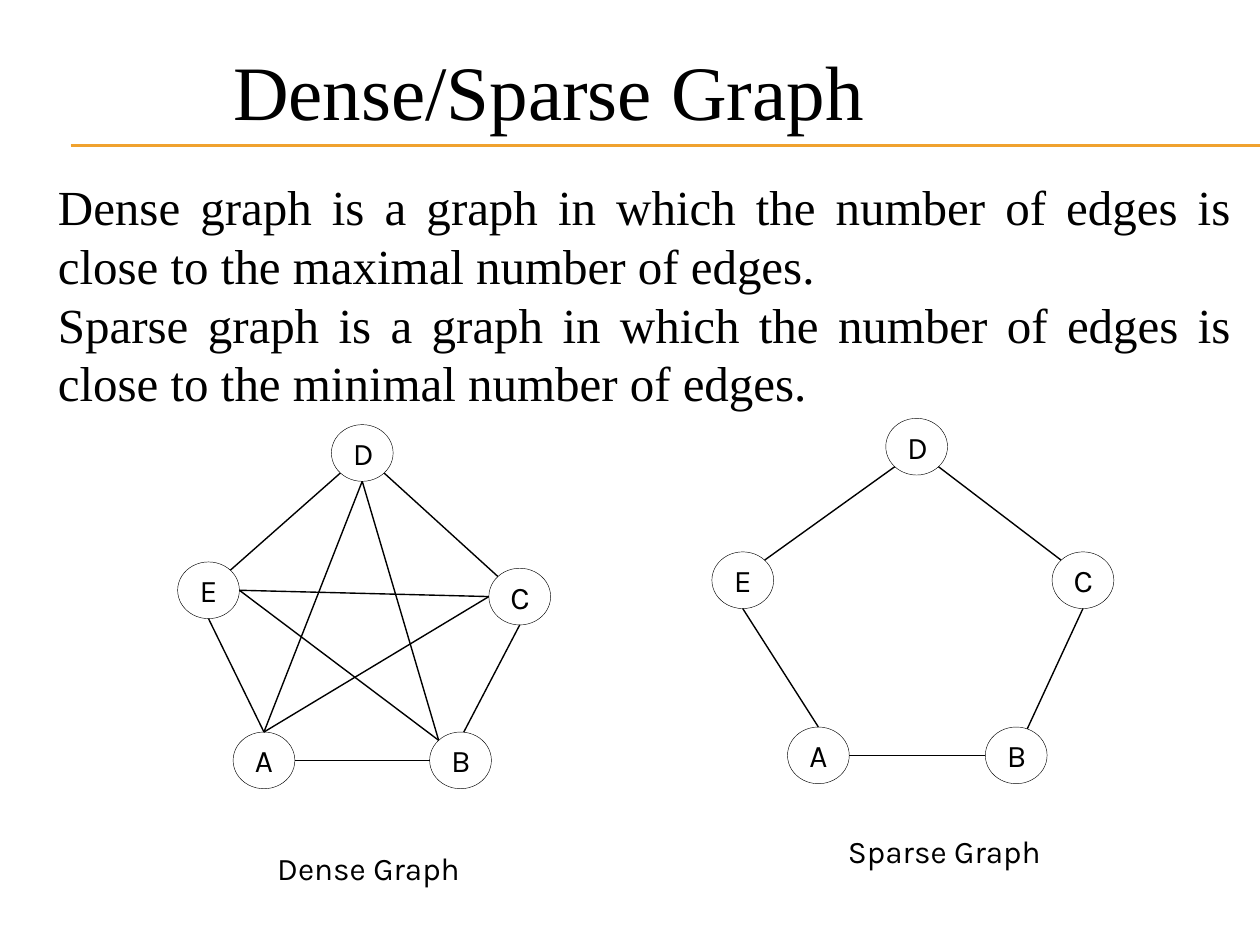
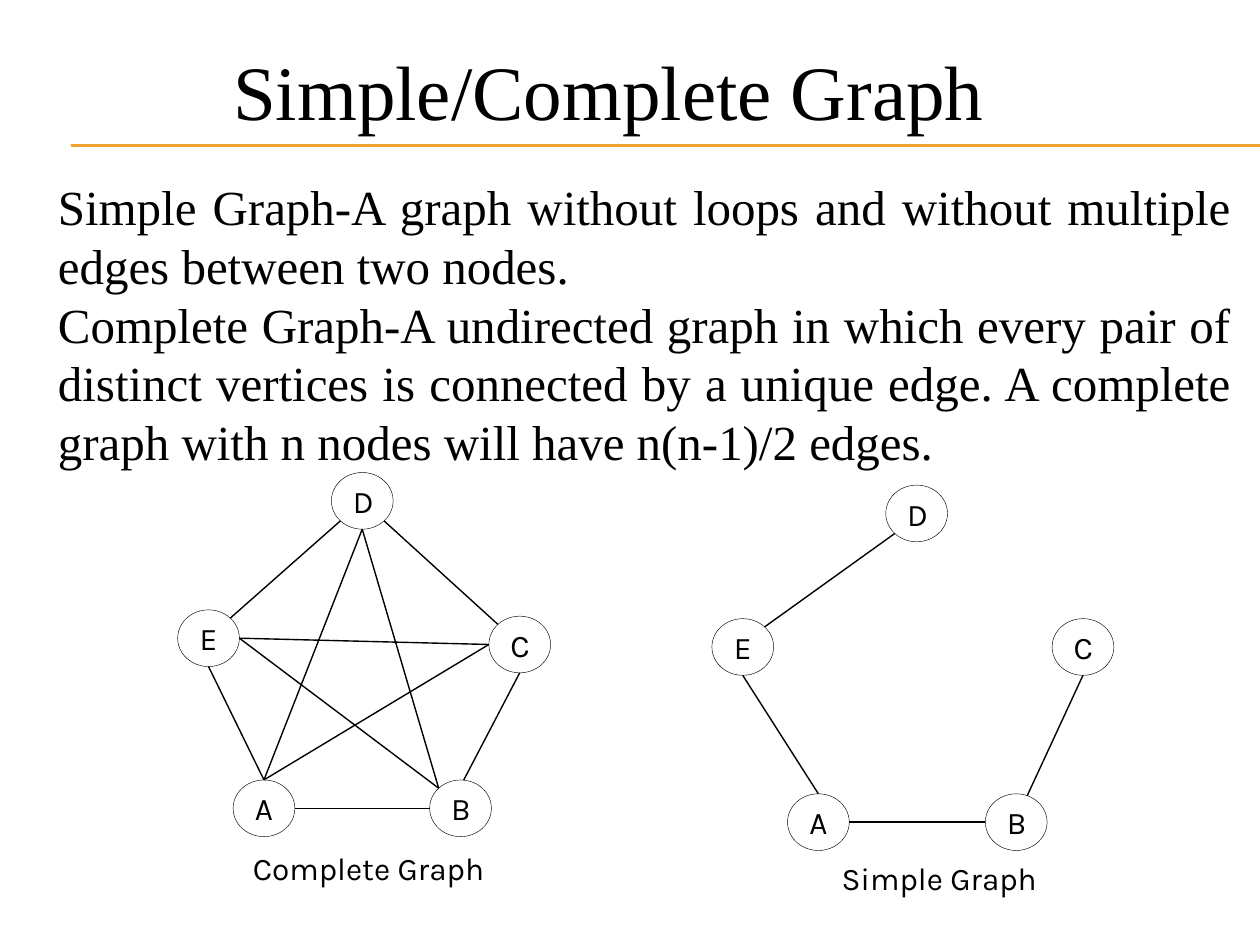
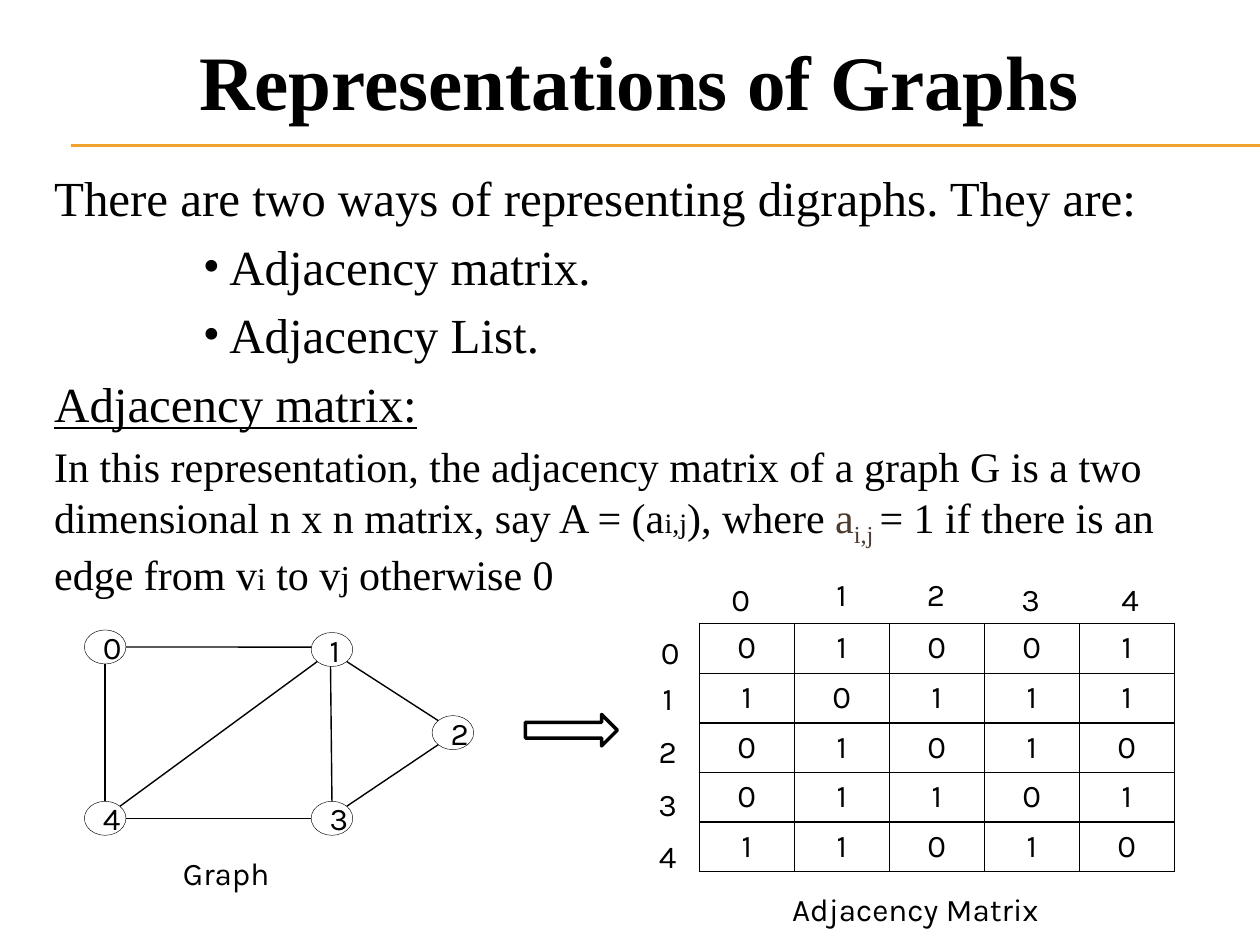
"""Build three slides on graph density, completeness and adjacency matrices."""
from math import cos, radians, sin

from lxml import etree
from pptx import Presentation
from pptx.dml.color import RGBColor
from pptx.enum.shapes import MSO_CONNECTOR, MSO_SHAPE
from pptx.enum.text import MSO_ANCHOR, MSO_AUTO_SIZE, PP_ALIGN
from pptx.oxml.ns import qn
from pptx.util import Inches, Pt

LEFT, CENTER, JUSTIFY = PP_ALIGN.LEFT, PP_ALIGN.CENTER, PP_ALIGN.JUSTIFY
TOP, MIDDLE, BOTTOM = MSO_ANCHOR.TOP, MSO_ANCHOR.MIDDLE, MSO_ANCHOR.BOTTOM
NO_FIT = MSO_AUTO_SIZE.NONE
STRAIGHT = MSO_CONNECTOR.STRAIGHT
ELLIPSE, RIGHT_ARROW = MSO_SHAPE.OVAL, MSO_SHAPE.RIGHT_ARROW

COLORS = {"ink": "000000", "rule": "F0A22E", "brown": "4E3B30"}
SERIF, SANS = "Times New Roman", "Karla"
WIDTH, HEIGHT = 10, 7.5
RULE_LEFT, RULE_TOPS = 0.56, (1.15, 1.16)
EDGE_WEIGHT, OUTLINE_WEIGHT, ARROW_WEIGHT, BORDER_WEIGHT = 0.79, 0.25, 2, 1
BULLET_LEFT, BULLET_HANG = 1.39, 0.21

# Node: left and top from the graph's origin. Edge: node, angle, node, angle.
DENSE = {
    "node": (0.49, 0.45),
    "nodes": {"D": (1.22, 0), "A": (0.44, 2.44), "E": (0, 1.09),
              "C": (2.47, 1.14), "B": (2, 2.44)},
    "edges": [("D", 225, "E", 45), ("E", 270, "A", 90), ("A", 0, "B", 180),
              ("E", 0, "B", 135), ("D", 315, "C", 135), ("C", 270, "B", 84),
              ("E", 0, "C", 180), ("A", 90, "D", 270), ("D", 270, "B", 135),
              ("A", 90, "C", 180)],
}
OPEN_RING = {
    "node": (0.49, 0.45),
    "nodes": {"D": (1.38, 0), "A": (0.6, 2.45), "E": (0, 1.06),
              "C": (2.7, 1.06), "B": (2.17, 2.45)},
    "edges": [("D", 225, "E", 45), ("E", 270, "A", 90), ("A", 0, "B", 180),
              ("C", 270, "B", 69)],
}
RING = {**OPEN_RING, "edges": OPEN_RING["edges"] + [("D", 315, "C", 135)]}
NUMBERED = {
    "node": (0.33, 0.27),
    "nodes": {"1": (1.8, 0.02), "4": (0, 1.36), "0": (0, 0),
              "3": (1.8, 1.36), "2": (2.76, 0.68)},
    "edges": [("0", 0, "1", 172), ("1", 266, "3", 90), ("1", 225, "4", 45),
              ("0", 270, "4", 90), ("4", 0, "3", 180), ("1", 315, "2", 135),
              ("3", 45, "2", 225)],
}

COMPARISONS = [
    {"title": "Dense/Sparse Graph",
     "body": ["Dense graph is a graph in which the number of edges is close to "
              "the maximal number of edges.",
              "Sparse graph is a graph in which the number of edges is close to "
              "the minimal number of edges."],
     "captions": [("Dense Graph", 1.45, 6.63), ("Sparse Graph", 6.02, 6.5)],
     "graphs": [(DENSE, 1.41, 3.37), (RING, 5.65, 3.32)]},
    {"title": "Simple/Complete Graph",
     "body": ["Simple Graph-A graph without loops and without multiple edges "
              "between two nodes.",
              "Complete Graph-A undirected graph in which every pair of distinct "
              "vertices is connected by a unique edge. A complete graph with n "
              "nodes will have n(n-1)/2 edges."],
     "captions": [("Complete Graph", 1.45, 6.63), ("Simple Graph", 5.98, 6.71)],
     "graphs": [(DENSE, 1.41, 3.75), (OPEN_RING, 5.65, 3.85)]},
]

INTRO = "There are two ways of representing digraphs. They are:"
WAYS = ["Adjacency matrix.", "Adjacency List."]
HEADING = [("Adjacency matrix:", {"underline": True})]
DEFINITION = [
    ("In this representation, the adjacency matrix of a graph G is a two "
     "dimensional n x n matrix, say A = (a", {}),
    ("i,j", {"size": 16}),
    ("), where ", {}),
    ("a", {"color": "brown"}),
    ("i,j ", {"color": "brown", "baseline": -25}),
    ("= 1 if there is an edge from v", {}),
    ("i", {"size": 18}),
    (" to v", {}),
    ("j ", {"size": 20}),
    ("otherwise 0", {}),
]
MATRIX = ["01001", "10111", "01010", "01101", "11010"]
MATRIX_BOX = (5.55, 4.95, 3.77, 1.97)
ROW_LABELS = [(5.04, 4.96), (5.02, 5.33), (5.02, 5.75), (5.02, 6.17), (5.02, 6.58)]
COLUMN_LABELS = [(5.6, 4.54), (6.4, 4.5), (7.15, 4.5), (7.9, 4.54), (8.69, 4.54)]
LABEL_SIZE = (0.56, 0.42)


def box(*lengths):
    return [Inches(length) for length in lengths]


def write_text(frame, paragraphs, font=SANS, size=18, align=CENTER, anchor=MIDDLE,
               color="ink", bold=False, before=None):
    """Fill a frame; a paragraph is a string or (runs, overrides)."""
    frame.word_wrap = True
    frame.vertical_anchor = anchor
    for index, entry in enumerate(paragraphs):
        runs, options = entry if isinstance(entry, tuple) else ([(entry, {})], {})
        paragraph = frame.paragraphs[0] if index == 0 else frame.add_paragraph()
        paragraph.alignment = align
        if before is not None:
            paragraph.space_before = Pt(before)
        set_bullet(paragraph, options.get("bullet", False), font)
        for text, style in runs:
            run = paragraph.add_run()
            run.text = text
            run.font.name = font
            run.font.size = Pt(style.get("size", options.get("size", size)))
            run.font.bold = bold
            run.font.underline = style.get("underline", False)
            run.font.color.rgb = RGBColor.from_string(COLORS[style.get("color", color)])
            if "baseline" in style:
                run._r.get_or_add_rPr().set("baseline", str(style["baseline"] * 1000))


def set_bullet(paragraph, bullet, font):
    properties = paragraph._p.get_or_add_pPr()
    properties.set("marL", str(Inches(BULLET_LEFT) if bullet else 0))
    properties.set("indent", str(-Inches(BULLET_HANG) if bullet else 0))
    if bullet:
        etree.SubElement(properties, qn("a:buFont")).set("typeface", font)
        etree.SubElement(properties, qn("a:buChar")).set("char", "•")
    else:
        etree.SubElement(properties, qn("a:buNone"))


def add_line(slide, start, end, color="ink", weight=EDGE_WEIGHT):
    line = slide.shapes.add_connector(STRAIGHT, *box(*start, *end))
    line.line.color.rgb = RGBColor.from_string(COLORS[color])
    line.line.width = Pt(weight)
    etree.SubElement(line._element.spPr, qn("a:effectLst"))
    return line


def add_outline(slide, kind, place, weight):
    shape = slide.shapes.add_shape(kind, *box(*place))
    shape.shadow.inherit = False
    shape.fill.background()
    shape.line.color.rgb = RGBColor.from_string(COLORS["ink"])
    shape.line.width = Pt(weight)
    return shape


def add_label(slide, text, *place):
    write_text(slide.shapes.add_textbox(*box(*place)).text_frame, [text])


def add_graph(slide, graph, left, top):
    width, height = graph["node"]
    nodes = {name: (left + x, top + y) for name, (x, y) in graph["nodes"].items()}

    def rim(name, angle):
        x, y = nodes[name]
        turn = radians(angle)
        return x + width / 2 * (1 + cos(turn)), y + height / 2 * (1 - sin(turn))

    for name, corner in nodes.items():
        node = add_outline(slide, ELLIPSE, (*corner, width, height), OUTLINE_WEIGHT)
        write_text(node.text_frame, [name])
    for first, first_angle, second, second_angle in graph["edges"]:
        add_line(slide, rim(first, first_angle), rim(second, second_angle))


def add_matrix(slide, rows, place):
    frame = slide.shapes.add_table(len(rows), len(rows[0]), *box(*place))
    table = frame.table
    table.first_row = table.horz_banding = False
    for row, values in enumerate(rows):
        for column, value in enumerate(values):
            cell = table.cell(row, column)
            write_text(cell.text_frame, [value])
            cell.vertical_anchor = TOP
            properties = cell._tc.get_or_add_tcPr()
            for side in ("a:lnL", "a:lnR", "a:lnT", "a:lnB"):
                border = etree.SubElement(properties, qn(side))
                border.set("w", str(Pt(BORDER_WEIGHT)))
                fill = etree.SubElement(border, qn("a:solidFill"))
                etree.SubElement(fill, qn("a:srgbClr")).set("val", COLORS["ink"])
            cell.fill.background()


def fill_placeholder(shape, place, paragraphs, **style):
    shape.left, shape.top, shape.width, shape.height = box(*place)
    shape.text_frame.auto_size = NO_FIT
    write_text(shape.text_frame, paragraphs, font=SERIF, **style)


def add_slide(presentation, title, title_place, body, body_place, bold=False, **style):
    slide = presentation.slides.add_slide(presentation.slide_layouts[1])
    fill_placeholder(slide.shapes.title, title_place, [title], size=44, align=LEFT,
                     anchor=BOTTOM, bold=bold)
    fill_placeholder(slide.placeholders[1], body_place, body, size=28, anchor=TOP,
                     **style)
    return slide


def move_rules_to_layout(slide):
    for index, top in enumerate(RULE_TOPS):
        rule = add_line(slide, (RULE_LEFT, top), (WIDTH, top), "rule", 0.75)
        rule._element.nvCxnSpPr.cNvPr.set("id", str(20 + index))
        slide.slide_layout.shapes.element.append(rule._element)


def add_comparison(presentation, content):
    slide = add_slide(presentation, content["title"], (1.75, 0.29, 8.25, 0.84),
                      content["body"], (0.36, 1.35, 9.51, 5.83),
                      align=JUSTIFY, before=0)
    for text, left, top in content["captions"]:
        add_label(slide, text, left, top, 2.95, 0.51)
    for graph, left, top in content["graphs"]:
        add_graph(slide, graph, left, top)
    return slide


def add_representations(presentation):
    body = [INTRO]
    body += [([(way, {})], {"bullet": True}) for way in WAYS]
    body += [(HEADING, {}), (DEFINITION, {"size": 24})]
    slide = add_slide(presentation, "Representations of Graphs", (1.48, -0.09, 8.19, 1.14),
                      body, (0.33, 1.28, 9.42, 6.12), bold=True, align=LEFT)
    add_graph(slide, NUMBERED, 0.67, 5)
    add_outline(slide, RIGHT_ARROW, (4.17, 5.67, 0.73, 0.25), ARROW_WEIGHT)
    add_matrix(slide, MATRIX, MATRIX_BOX)
    for corners in (ROW_LABELS, COLUMN_LABELS):
        for number, corner in enumerate(corners):
            add_label(slide, str(number), *corner, *LABEL_SIZE)
    add_label(slide, "Graph", 0.67, 6.71, 2.25, 0.43)
    add_label(slide, "Adjacency Matrix", 6.14, 7, 2.25, 0.43)


presentation = Presentation()
presentation.slide_width, presentation.slide_height = box(WIDTH, HEIGHT)
comparison_slides = [add_comparison(presentation, content) for content in COMPARISONS]
move_rules_to_layout(comparison_slides[0])
add_representations(presentation)
presentation.save("out.pptx")
